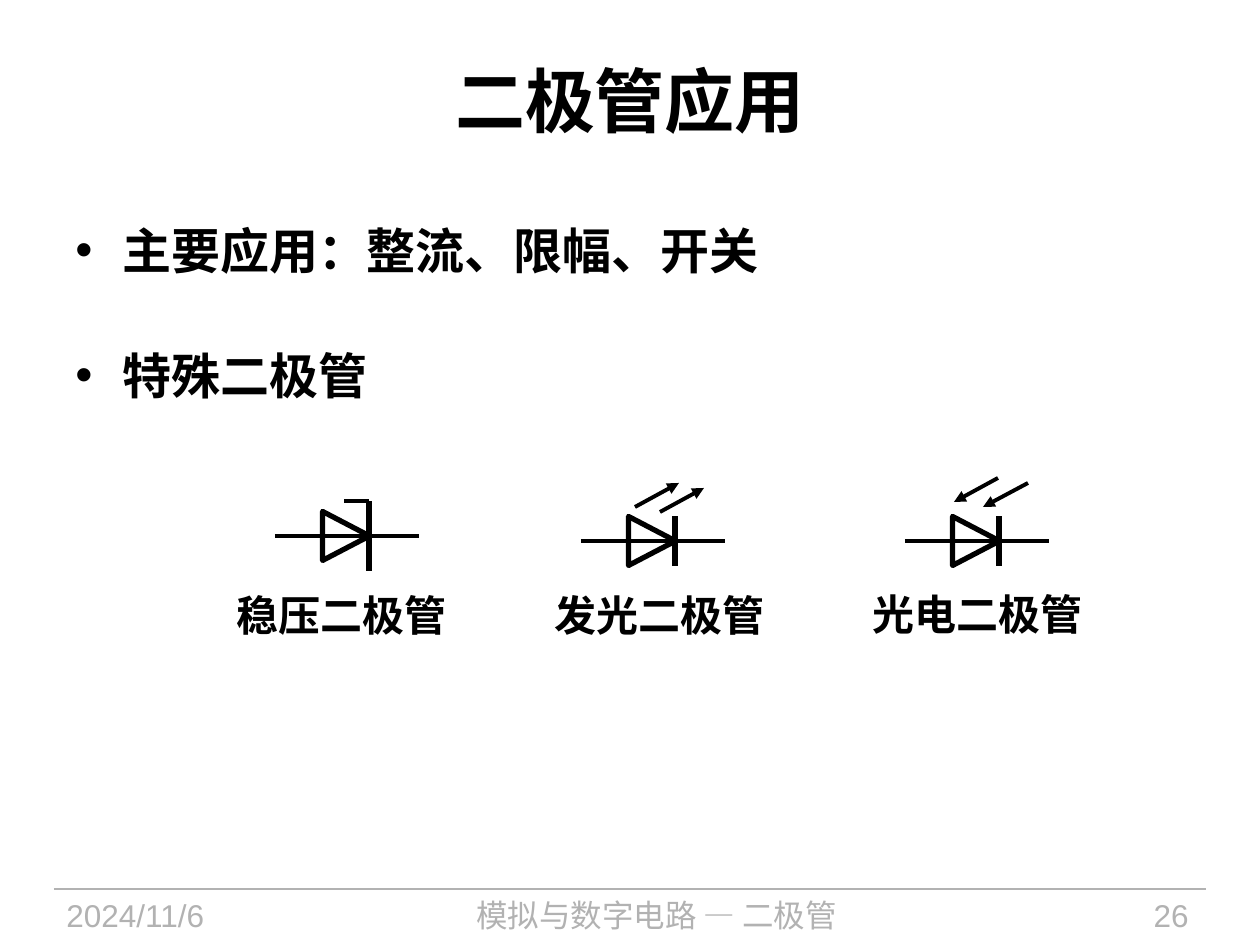
from dataclasses import dataclass

from lxml.etree import SubElement
from pptx import Presentation
from pptx.dml.color import RGBColor
from pptx.enum.shapes import MSO_CONNECTOR, MSO_SHAPE
from pptx.enum.text import MSO_ANCHOR, MSO_AUTO_SIZE, PP_ALIGN
from pptx.oxml.ns import qn
from pptx.util import Emu, Pt


@dataclass(frozen=True)
class Theme:
    ink: RGBColor = RGBColor(0x00, 0x00, 0x00)
    muted: RGBColor = RGBColor(0xB2, 0xB2, 0xB2)
    paper: RGBColor = RGBColor(0xFF, 0xFF, 0xFF)
    serif: str = "Times New Roman"
    sans: str = "Arial"
    chinese: str = "Noto Sans CJK SC"
    title_size: int = 40
    body_size: int = 28
    label_size: int = 24
    footer_size: int = 18
    heavy: float = 3
    medium: float = 2.25
    hairline: float = 0.75


THEME = Theme()
PIXELS_PER_INCH = 126

# Content
TITLE = "二极管应用"
BULLETS = ["主要应用：整流、限幅、开关", "特殊二极管"]
FOOTER = [
    ("2024/11/6", (54, 890, 237, 55), PP_ALIGN.LEFT, THEME.sans),
    ("模拟与数字电路 — 二极管", (302, 890, 709, 55), PP_ALIGN.CENTER, THEME.chinese),
    ("26", (1033, 890, 168, 55), PP_ALIGN.RIGHT, THEME.sans),
]

# Each diode: name, label corner, symbol centre, half height of the bar,
# and the extra strokes (start, end, has arrowhead) relative to the centre
DIODES = [
    ("稳压二极管", (223, 583), (346, 536), 35,
     [((23, -35), (-2, -35), False)]),
    ("发光二极管", (541, 583), (652, 541), 25,
     [((-17, -34), (27, -58), True), ((8, -29), (52, -53), True)]),
    ("光电二极管", (859, 582), (976, 541), 25,
     [((22, -63), (-22, -39), True), ((52, -58), (7, -34), True)]),
]
LABEL_SIZE = (237, 63)
TRIANGLE_SIZE = (49, 47)
WIRE_LEFT, WIRE_RIGHT, BAR_X = -71, 73, 23


def px(value):
    return Emu(round(value * 914400 / PIXELS_PER_INCH))


def add_run(paragraph, text, font_name, size, color, bold=False):
    run = paragraph.add_run()
    run.text = text
    run.font.name = font_name
    run.font.size = Pt(size)
    run.font.bold = bold
    run.font.color.rgb = color
    SubElement(run.font._element, qn("a:ea"), typeface=THEME.chinese)


def add_text_box(slide, box, wrap=True):
    frame = slide.shapes.add_textbox(*map(px, box)).text_frame
    frame.word_wrap = wrap
    return frame


def add_line(shapes, start, end, width, color=THEME.ink, arrow=False):
    line = shapes.add_connector(MSO_CONNECTOR.STRAIGHT, *map(px, (*start, *end)))
    line.line.width = Pt(width)
    line.line.color.rgb = color
    SubElement(line._element.spPr, qn("a:effectLst"))
    if arrow:
        SubElement(line.line._get_or_add_ln(), qn("a:tailEnd"), type="triangle")


def add_title(slide):
    title = slide.shapes.title
    title.left, title.top, title.width, title.height = map(px, (63, 21, 1134, 158))
    frame = title.text_frame
    frame.vertical_anchor = MSO_ANCHOR.MIDDLE
    paragraph = frame.paragraphs[0]
    paragraph.alignment = PP_ALIGN.CENTER
    add_run(paragraph, TITLE, THEME.serif, THEME.title_size, THEME.ink, True)


def add_bullets(slide):
    frame = add_text_box(slide, (63, 214, 1134, 277))
    for index, text in enumerate(BULLETS):
        paragraph = frame.paragraphs[0] if index == 0 else frame.add_paragraph()
        paragraph.space_after = Pt(38)
        properties = paragraph._p.get_or_add_pPr()
        properties.set("marL", str(px(47)))
        properties.set("indent", str(px(-47)))
        SubElement(properties, qn("a:buFont"), typeface=THEME.sans)
        SubElement(properties, qn("a:buChar"), char="•")
        add_run(paragraph, text, THEME.serif, THEME.body_size, THEME.ink, True)


def add_symbol(slide, centre, bar_half, strokes):
    center_x, center_y = centre

    def place(point):
        return center_x + point[0], center_y + point[1]

    shapes = slide.shapes.add_group_shape().shapes
    width, height = TRIANGLE_SIZE
    corner = place((-width / 2, -height / 2))
    triangle = shapes.add_shape(
        MSO_SHAPE.ISOSCELES_TRIANGLE, *map(px, (*corner, width, height)))
    triangle.rotation = 90
    triangle.shadow.inherit = False
    triangle.fill.background()
    triangle.line.color.rgb = THEME.ink
    triangle.line.width = Pt(THEME.heavy)

    add_line(shapes, place((WIRE_LEFT, 0)), place((WIRE_RIGHT, 0)), THEME.medium)
    add_line(shapes, place((BAR_X, bar_half)), place((BAR_X, -bar_half)), THEME.heavy)
    for start, end, arrow in strokes:
        add_line(shapes, place(start), place(end), THEME.medium, arrow=arrow)


def add_label(slide, text, corner):
    frame = add_text_box(slide, (*corner, *LABEL_SIZE), wrap=False)
    frame.auto_size = MSO_AUTO_SIZE.SHAPE_TO_FIT_TEXT
    paragraph = frame.paragraphs[0]
    paragraph.alignment = PP_ALIGN.CENTER
    add_run(paragraph, text, THEME.sans, THEME.label_size, THEME.ink, True)


def add_footer(slide):
    add_line(slide.shapes, (54, 889), (1206, 889), THEME.hairline, THEME.muted)
    for text, box, alignment, font_name in FOOTER:
        paragraph = add_text_box(slide, box).paragraphs[0]
        paragraph.alignment = alignment
        add_run(paragraph, text, font_name, THEME.footer_size, THEME.muted)


def main():
    presentation = Presentation()
    presentation.slide_width, presentation.slide_height = px(1260), px(945)
    slide = presentation.slides.add_slide(presentation.slide_layouts[5])
    slide.background.fill.solid()
    slide.background.fill.fore_color.rgb = THEME.paper

    add_footer(slide)
    add_title(slide)
    add_bullets(slide)
    for name, label_corner, centre, bar_half, strokes in DIODES:
        add_label(slide, name, label_corner)
        add_symbol(slide, centre, bar_half, strokes)

    presentation.save("out.pptx")


if __name__ == "__main__":
    main()
